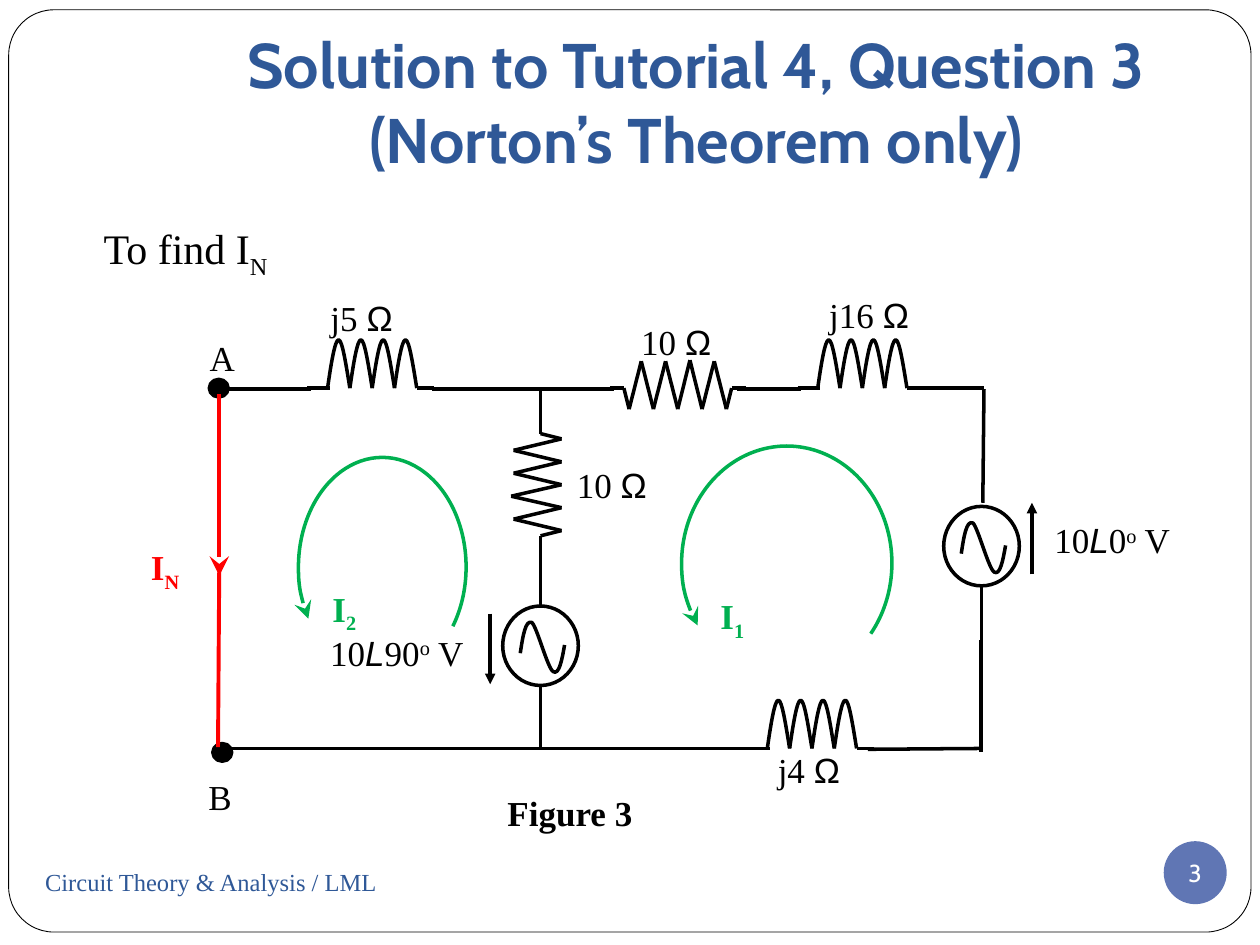
from itertools import pairwise

from lxml import etree
from pptx import Presentation
from pptx.dml import color
from pptx.enum import shapes as kinds, text as align
from pptx.oxml import ns
from pptx.util import Pt

BLACK, WHITE, RED, GREEN, NAVY = "000000", "FFFFFF", "FF0000", "00B050", "2F5897"
OHM = ("Ω", {"face": "Arial"})
ANGLE = ("L", {"face": "Arial", "italic": True})
DEGREE = ("o", {"baseline": 30})


def rgb(value):
    return color.RGBColor.from_string(value)


def stroke(item, ink, width, head=None, tail=None):
    item.line.color.rgb = rgb(ink)
    item.line.width = Pt(width)
    outline = item.line._get_or_add_ln()
    for end, arrow in (("a:headEnd", head), ("a:tailEnd", tail)):
        if arrow:
            size = "lg" if arrow == "stealth" else "med"
            etree.SubElement(outline, ns.qn(end), type=arrow, w=size, len=size)


def wire(canvas, start, end, ink=BLACK, width=2, tail=None):
    line = canvas.shapes.add_connector(
        kinds.MSO_CONNECTOR.STRAIGHT, *(Pt(v) for v in (*start, *end)))
    stroke(line, ink, width, tail=tail)
    etree.SubElement(line._element.spPr, ns.qn("a:effectLst"))


def preset(slide, kind, box, fill=None, ink=None, width=2, head=None, adjust=()):
    figure = slide.shapes.add_shape(kind, *(Pt(v) for v in box))
    figure.shadow.inherit = False
    for index, value in enumerate(adjust):
        figure.adjustments[index] = value
    if fill:
        figure.fill.solid()
        figure.fill.fore_color.rgb = rgb(fill)
    else:
        figure.fill.background()
    if ink:
        stroke(figure, ink, width, head=head)
    else:
        figure.line.fill.background()
    return figure


def curve(canvas, start, bends):
    builder = canvas.shapes.build_freeform(*(Pt(v) for v in start))
    builder.add_line_segments(
        [(Pt(x), Pt(y)) for *_, (x, y) in bends], close=False)
    wave = builder.convert_to_shape()
    for straight, bend in zip(wave._element.xpath(".//a:lnTo"), bends):
        bezier = etree.Element(ns.qn("a:cubicBezTo"))
        for x, y in bend:
            etree.SubElement(bezier, ns.qn("a:pt"),
                             x=str(Pt(x) - wave.left), y=str(Pt(y) - wave.top))
        straight.getparent().replace(straight, bezier)
    wave.shadow.inherit = False
    wave.fill.background()
    stroke(wave, BLACK, 2)


def write(holder, *runs, size=20, face="Times New Roman", ink=BLACK, bold=False,
          centre=True, anchor=align.MSO_ANCHOR.TOP, insets=(0, 0, 0, 0), wrap=True):
    frame = holder.text_frame
    frame.word_wrap = wrap
    frame.vertical_anchor = anchor
    frame.margin_left, frame.margin_top, frame.margin_right, frame.margin_bottom = (
        Pt(v) for v in insets)
    line = frame.paragraphs[0]
    line.alignment = align.PP_ALIGN.CENTER if centre else align.PP_ALIGN.LEFT
    for piece in runs:
        words, change = (piece, {}) if isinstance(piece, str) else piece
        if words == "\n":
            line.add_line_break()
            continue
        run = line.add_run()
        run.text = words
        run.font.size = Pt(size)
        run.font.name = change.get("face", face)
        run.font.bold = bold
        run.font.italic = change.get("italic", False)
        run.font.color.rgb = rgb(ink)
        if "baseline" in change:
            run._r.get_or_add_rPr().set("baseline", str(change["baseline"] * 1000))


def label(slide, box, *runs, **form):
    write(slide.shapes.add_textbox(*(Pt(v) for v in box)), *runs, **form)


def current(slide, box, name, subscript, **form):
    label(slide, box, name, (subscript, {"baseline": -25}), centre=False,
          insets=(7.2, 3.6, 7.2, 3.6), **form)


def coil(slide, x, y, turn=12.75, height=27.6):
    parts = slide.shapes.add_group_shape()
    wire(parts, (x - 11.5, y), (x + 1.5, y))
    for left in (x + turn * n for n in range(4)):
        top, mid = y - height, y - height / 2
        curve(parts, (left, y), [
            ((left + 2, mid), (left + 4.2, top), (left + 6.3, top)),
            ((left + 8.4, top), (left + 10.5, mid), (left + turn, y))])
    wire(parts, (x + 4 * turn, y), (x + 61, y))


def resistor(slide, x, y, pitch, skew, vertical=False):
    parts = slide.shapes.add_group_shape()
    lead, shoulder, low, high = 8, 3, 12, -15.4
    peaks = [low, high, low, high, low, high - skew, low, high, low]
    bends = [(0, 0), (lead, 0)]
    bends += [(lead + shoulder + n * pitch, peak) for n, peak in enumerate(peaks)]
    finish = lead + 2 * shoulder + 8 * pitch
    bends += [(finish, 0), (finish + lead, 0)]
    corners = [(x + b, y + a) if vertical else (x + a, y + b) for a, b in bends]
    for start, end in pairwise(corners):
        wire(parts, start, end)


def source(slide, x, y):
    preset(slide, kinds.MSO_SHAPE.OVAL, (x, y, 43.2, 45.4), WHITE, BLACK)
    sine = [((11.5, 17.1), (13, 7.8), (16.6, 9.4)),
            ((19.4, 11.5), (25.6, 35.6), (28.8, 37.5)),
            ((32.1, 39.7), (33.8, 31), (35.3, 22.3))]
    curve(slide, (x + 10, y + 27),
          [[(x + a, y + b) for a, b in bend] for bend in sine])


def draw_circuit(slide):
    top, rail, bottom, middle, right = 221.8, 222.4, 427.7, 308.9, 560.5
    for start, end in [
        ((177.8, rail), (127.4, rail)), ((247, rail), (350.6, rail)),
        ((421.2, rail), (457.9, rail)), ((525.6, top), (562.3, top)),
        ((125.3, bottom), (432, bottom)), ((right, bottom), (496, 428.2)),
        ((562.3, rail), (561.6, 287.3)), ((right, 365.8), (right, 429.8)),
        ((560.9, 335.5), (560.9, 370.8)),
        ((middle, 244), (middle, 223)), ((middle, 306.7), (middle, 332.6)),
        ((middle, 347), (middle, 316.8)), ((middle, 392.4), (middle, bottom)),
    ]:
        wire(slide, start, end)
    for x, y in ((187.2, top), (467.3, top), (438.5, bottom)):
        coil(slide, x, y)
    resistor(slide, 348.5, top, 6.95, 0.6)
    resistor(slide, middle, 239.8, 6.55, 1.4, vertical=True)
    source(slide, 539.3, 289.4)
    source(slide, 287.3, 346.3)
    for x, y in ((119.6, 216.8), (121.6, 424.9)):
        preset(slide, kinds.MSO_SHAPE.OVAL, (x, y, 10.8, 10.1), BLACK, BLACK)
    wire(slide, (280.1, 350.6), (280.1, 391), tail="triangle")
    wire(slide, (589.7, 328.3), (589.7, 287.3), tail="triangle")
    wire(slide, (125.3, 225.4), (125.3, 329), RED, 2.25, "stealth")
    wire(slide, (125.3, 323.3), (124.6, 427), RED, 2.25)
    for loop in ((170.6, 261.4, 95.8, 125.3), (389.5, 254.9, 120.2, 133.9)):
        preset(slide, kinds.MSO_SHAPE.ARC, loop, ink=GREEN, head="stealth",
               adjust=(87.028, 23.999))


def label_circuit(slide):
    label(slide, (176.4, 169.2, 60.5, 31), "j5 ", OHM)
    label(slide, (466.4, 167.8, 60.5, 31), "j16 ", OHM)
    label(slide, (434.9, 427.7, 54.7, 31), "j4 ", OHM)
    label(slide, (358.3, 182.9, 56.2, 28), "10 ", OHM)
    label(slide, (323, 265, 53.3, 29.5), "10 ", OHM)
    label(slide, (597.1, 296.4, 77, 31.7), "10", ANGLE, "0", DEGREE, " V")
    label(slide, (177.8, 360.7, 97.9, 30.2), "10", ANGLE, "90", DEGREE, " V")
    label(slide, (110.9, 192.2, 32.4, 30.2), "A")
    label(slide, (110.6, 443, 30.2, 30.2), "B")
    label(slide, (278.9, 452.2, 93.6, 28.8), "Figure 3", bold=True)
    current(slide, (404.6, 336.2, 31.7, 31.7), "I", "1", ink=GREEN, bold=True)
    current(slide, (182.9, 331.9, 31.7, 31.7), "I", "2", ink=GREEN, bold=True)
    current(slide, (79.2, 308.2, 57.6, 31.7), "I", "N", ink=RED, bold=True)


def main():
    deck = Presentation()
    deck.slide_width, deck.slide_height = Pt(720), Pt(540)
    slide = deck.slides.add_slide(deck.slide_layouts[6])
    preset(slide, kinds.MSO_SHAPE.ROUNDED_RECTANGLE, (5, 5.6, 709.9, 527),
           WHITE, BLACK, 0.5, adjust=(0.049,))
    page = preset(slide, kinds.MSO_SHAPE.OVAL, (665, 480.7, 36, 36), "6076B4")
    write(page, "3", size=14, face="Cabin", ink=WHITE,
          anchor=align.MSO_ANCHOR.MIDDLE, wrap=False)
    draw_circuit(slide)
    label_circuit(slide)
    current(slide, (52.1, 123.8, 187.9, 36), "To find I", "N", size=24)
    label(slide, (18.7, 486, 311.8, 36), "Circuit Theory & Analysis / LML", size=14,
          ink=NAVY, centre=False, anchor=align.MSO_ANCHOR.MIDDLE,
          insets=(7.2, 3.6, 7.2, 3.6))
    label(slide, (129.6, 41.8, 536.4, 66.2), "Solution to Tutorial 4, Question 3", "\n",
          "(Norton’s Theorem only)", size=36, face="Cabin", ink=NAVY, bold=True,
          anchor=align.MSO_ANCHOR.BOTTOM, insets=(7.2, 3.6, 7.2, 7.2))
    deck.save("out.pptx")


if __name__ == "__main__":
    main()
